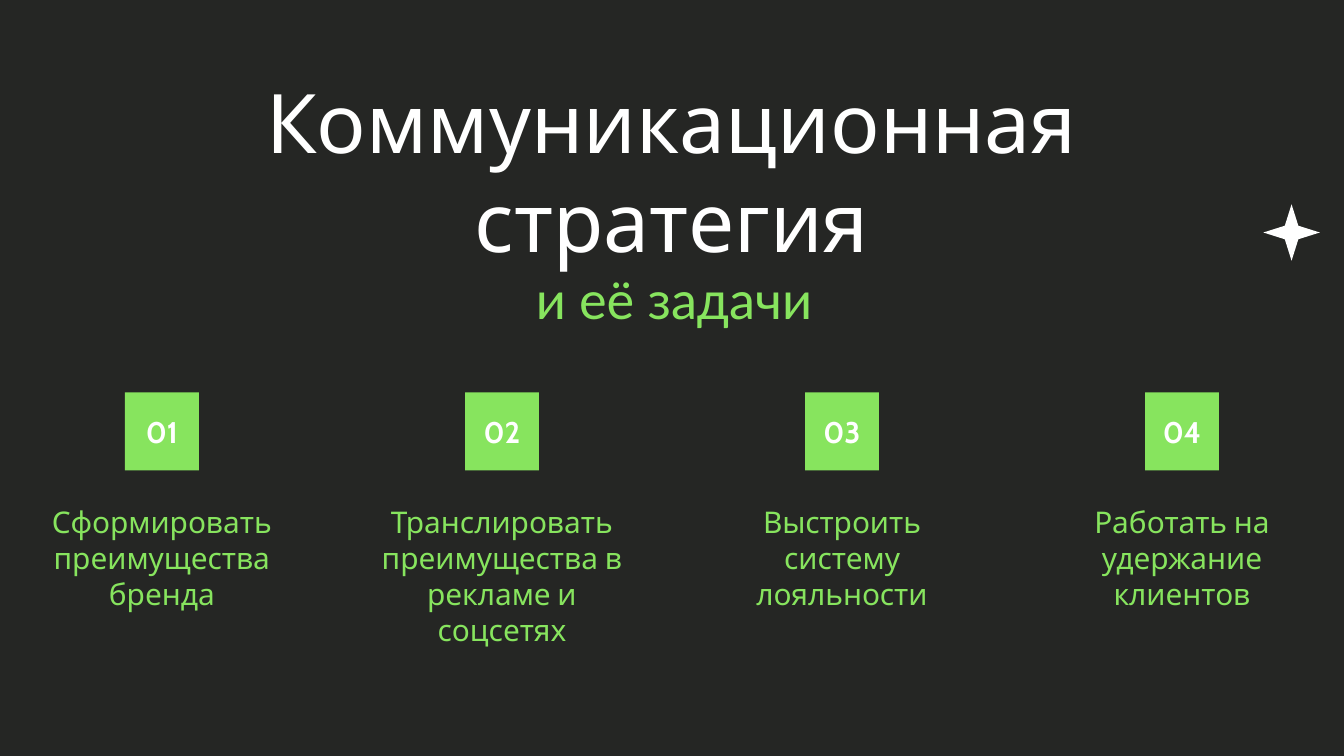
from dataclasses import dataclass

from pptx import Presentation
from pptx.dml.color import RGBColor
from pptx.enum.shapes import MSO_SHAPE
from pptx.enum.text import MSO_ANCHOR, MSO_AUTO_SIZE, PP_ALIGN
from pptx.util import Pt


@dataclass(frozen=True)
class Theme:
    background: RGBColor = RGBColor.from_string("252624")
    white: RGBColor = RGBColor.from_string("FFFFFF")
    green: RGBColor = RGBColor.from_string("87E45E")
    main_font: str = "Cabin"
    subtitle_font: str = "Lato"
    title_size: int = 44
    subtitle_size: int = 28
    body_size: int = 16


theme = Theme()


def place(shape, left, top, width, height):
    shape.left, shape.top = Pt(left), Pt(top)
    shape.width, shape.height = Pt(width), Pt(height)


def write(shape, text, size, color, font=theme.main_font, anchor=MSO_ANCHOR.TOP, bold=False):
    frame = shape.text_frame
    frame.word_wrap = True
    frame.auto_size = MSO_AUTO_SIZE.NONE
    frame.vertical_anchor = anchor
    frame.margin_left = frame.margin_right = Pt(7.2)
    frame.margin_top = frame.margin_bottom = Pt(7.2)
    para = frame.paragraphs[0]
    para.text = text
    para.alignment = PP_ALIGN.CENTER
    para.space_before = Pt(0)
    para.font.name = font
    para.font.size = Pt(size)
    para.font.bold = bold
    para.font.color.rgb = color
    return para


deck = Presentation()
deck.slide_width, deck.slide_height = Pt(720), Pt(405)
page = deck.slides.add_slide(deck.slide_layouts[0])
page.background.fill.solid()
page.background.fill.fore_color.rgb = theme.background

title = page.shapes.title
place(title, 123.84, 54, 472.32, 97.2)
write(title, "Коммуникационная стратегия", theme.title_size, theme.white, anchor=MSO_ANCHOR.BOTTOM)

subtitle = page.placeholders[1]
place(subtitle, 119.52, 136.08, 472.32, 30.24)
subtitle_para = write(subtitle, "и её задачи", theme.subtitle_size, theme.green, theme.subtitle_font)
subtitle_properties = subtitle_para._p.get_or_add_pPr()
subtitle_properties.set("marL", str(Pt(36)))
subtitle_properties.set("indent", str(Pt(-25.2)))

star = page.shapes.add_shape(MSO_SHAPE.STAR_4_POINT, Pt(676.8), Pt(109.44), Pt(30.24), Pt(30.24))
star.adjustments[0] = 0.17
star.shadow.inherit = False
star.fill.solid()
star.fill.fore_color.rgb = theme.white
star.line.fill.background()

tasks = [
    "Сформировать преимущества бренда",
    "Транслировать преимущества в рекламе и соцсетях",
    "Выстроить систему лояльности",
    "Работать на удержание клиентов",
]
column_step = 182.16
column_width = 162
square_width = 39.6

for index, task in enumerate(tasks):
    left = 5.76 + index * column_step
    box = page.shapes.add_textbox(Pt(left), Pt(262.8), Pt(column_width), Pt(64.08))
    write(box, task, theme.body_size, theme.green)

    square_left = left + (column_width - square_width) / 2
    square = page.shapes.add_shape(
        MSO_SHAPE.RECTANGLE, Pt(square_left), Pt(210.24), Pt(square_width), Pt(41.76)
    )
    square.shadow.inherit = False
    square.fill.solid()
    square.fill.fore_color.rgb = theme.green
    square.line.fill.background()
    write(square, f"{index + 1:02}", theme.body_size, theme.white, anchor=MSO_ANCHOR.MIDDLE, bold=True)

deck.save("out.pptx")
